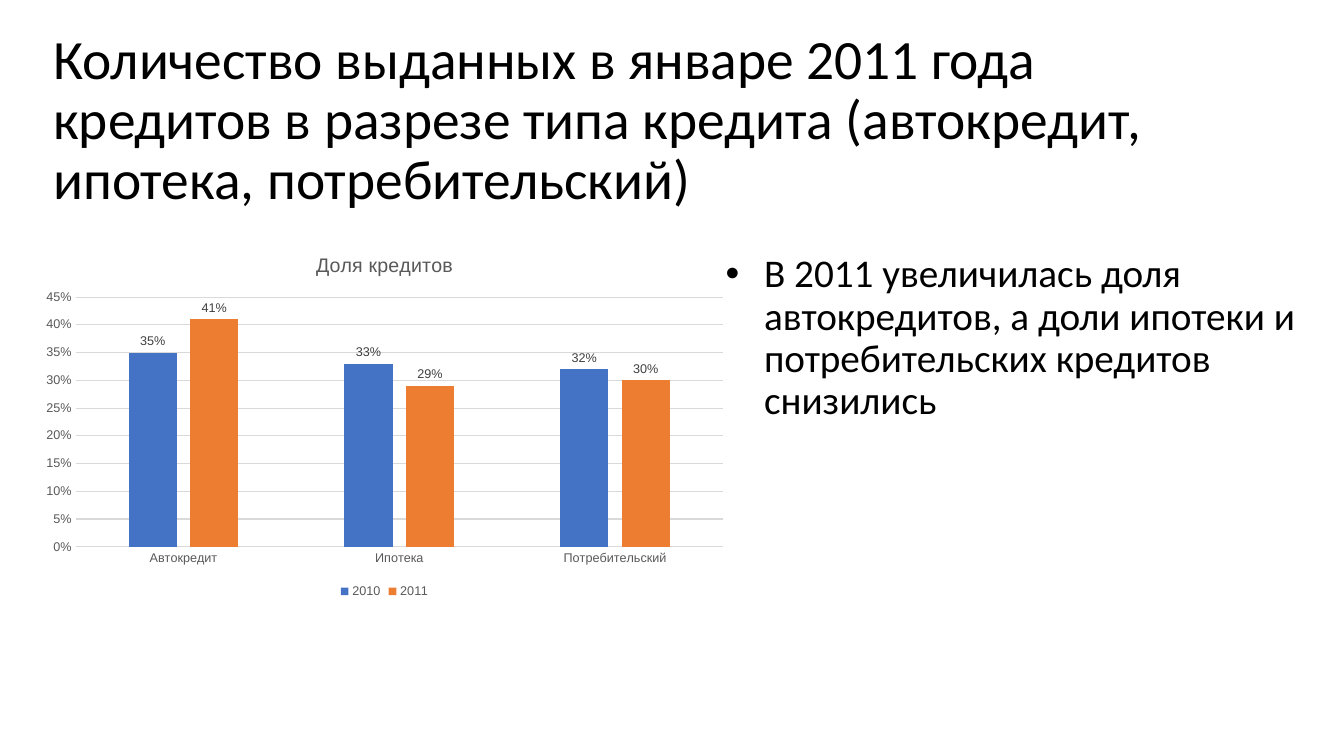
from pptx import Presentation
from pptx.chart.data import CategoryChartData
from pptx.dml.color import RGBColor
from pptx.enum import chart as charts, text
from pptx.oxml import parse_xml
from pptx.oxml.ns import nsdecls
from pptx.util import Inches, Pt

# Content
TITLE = ("Количество выданных в январе 2011 года кредитов в разрезе "
         "типа кредита (автокредит, ипотека, потребительский)")
CONCLUSION = ("В 2011 увеличилась доля автокредитов, а доли ипотеки "
              "и потребительских кредитов снизились")
CHART_TITLE = "Доля кредитов"
LOAN_TYPES = ["Автокредит", "Ипотека", "Потребительский"]
SHARES = {"2010": (0.35, 0.33, 0.32), "2011": (0.41, 0.29, 0.30)}

# Left, top, width, height in inches
TITLE_BOX = (0.43, 0.48, 11.5, 1.45)
CONCLUSION_BOX = (6.98, 2.47, 6.03, 4.67)
CHART_BOX = (0.32, 2.34, 6.99, 3.64)


class Theme:
    text_font, chart_font = "Calibri", "Arial"
    ink, muted, label, grid = "000000", "595959", "404040", "D9D9D9"
    series = {"2010": "4472C4", "2011": "ED7D31"}
    title_size, body_size = 39.6, 28
    chart_title_size, chart_size, chart_small = 14, 10, 9
    line_width = 0.75
    percent = "0%"


def place(box):
    return [Inches(value) for value in box]


def style_font(font, name, size, color):
    font.name = name
    font.size = Pt(size)
    font.bold = False
    font.color.rgb = RGBColor.from_string(color)


def style_line(line, color):
    line.color.rgb = RGBColor.from_string(color)
    line.width = Pt(Theme.line_width)


def add_text(slide, box, content, size, anchor):
    frame = slide.shapes.add_textbox(*place(box)).text_frame
    frame.word_wrap = True
    frame.vertical_anchor = anchor
    frame.text = content
    paragraph = frame.paragraphs[0]
    paragraph.line_spacing = 0.9
    style_font(paragraph.runs[0].font, Theme.text_font, size, Theme.ink)
    return paragraph


def add_bullet(paragraph, indent, hanging):
    properties = paragraph._p.get_or_add_pPr()
    properties.set("marL", str(Inches(indent)))
    properties.set("indent", str(-Inches(hanging)))
    properties.append(parse_xml(f'<a:buFont {nsdecls("a")} typeface="Arial"/>'))
    properties.append(parse_xml(f'<a:buChar {nsdecls("a")} char="•"/>'))


def add_share_chart(slide):
    data = CategoryChartData(number_format=Theme.percent)
    data.categories = LOAN_TYPES
    for year, values in SHARES.items():
        data.add_series(year, values)
    chart = slide.shapes.add_chart(
        charts.XL_CHART_TYPE.COLUMN_CLUSTERED, *place(CHART_BOX), data).chart
    style_font(chart.font, Theme.chart_font, Theme.chart_size, Theme.ink)

    # Chart title and legend
    chart.has_title = True
    chart.chart_title.include_in_layout = False
    title_frame = chart.chart_title.text_frame
    title_frame.text = CHART_TITLE
    style_font(title_frame.paragraphs[0].runs[0].font, Theme.chart_font,
               Theme.chart_title_size, Theme.muted)
    chart.has_legend = True
    chart.legend.position = charts.XL_LEGEND_POSITION.BOTTOM
    chart.legend.include_in_layout = False
    style_font(chart.legend.font, Theme.chart_font, Theme.chart_small, Theme.muted)

    # Axes
    for axis in (chart.category_axis, chart.value_axis):
        axis.major_tick_mark = charts.XL_TICK_MARK.NONE
        axis.minor_tick_mark = charts.XL_TICK_MARK.NONE
        style_font(axis.tick_labels.font, Theme.chart_font,
                   Theme.chart_small, Theme.muted)
    style_line(chart.category_axis.format.line, Theme.grid)
    share_axis = chart.value_axis
    share_axis.minimum_scale, share_axis.maximum_scale = 0, 0.45
    share_axis.major_unit = 0.05
    share_axis.tick_labels.number_format = Theme.percent
    share_axis.tick_labels.number_format_is_linked = False
    share_axis.format.line.fill.background()
    style_line(share_axis.major_gridlines.format.line, Theme.grid)

    # Columns and their labels
    plot = chart.plots[0]
    plot.vary_by_categories = False
    plot.gap_width, plot.overlap = 219, -27
    for series in plot.series:
        series.format.fill.solid()
        series.format.fill.fore_color.rgb = RGBColor.from_string(
            Theme.series[series.name])
        labels = series.data_labels
        labels.show_value = True
        labels.position = charts.XL_LABEL_POSITION.OUTSIDE_END
        labels.number_format = Theme.percent
        labels.number_format_is_linked = False
        style_font(labels.font, Theme.chart_font, Theme.chart_small, Theme.label)


def main():
    presentation = Presentation()
    presentation.slide_width = Inches(13.33)
    presentation.slide_height = Inches(7.5)
    slide = presentation.slides.add_slide(presentation.slide_layouts[6])

    add_text(slide, TITLE_BOX, TITLE, Theme.title_size, text.MSO_ANCHOR.MIDDLE)
    conclusion = add_text(slide, CONCLUSION_BOX, CONCLUSION, Theme.body_size,
                          text.MSO_ANCHOR.TOP)
    add_bullet(conclusion, indent=0.5, hanging=0.38)
    add_share_chart(slide)

    presentation.save("out.pptx")


if __name__ == "__main__":
    main()
